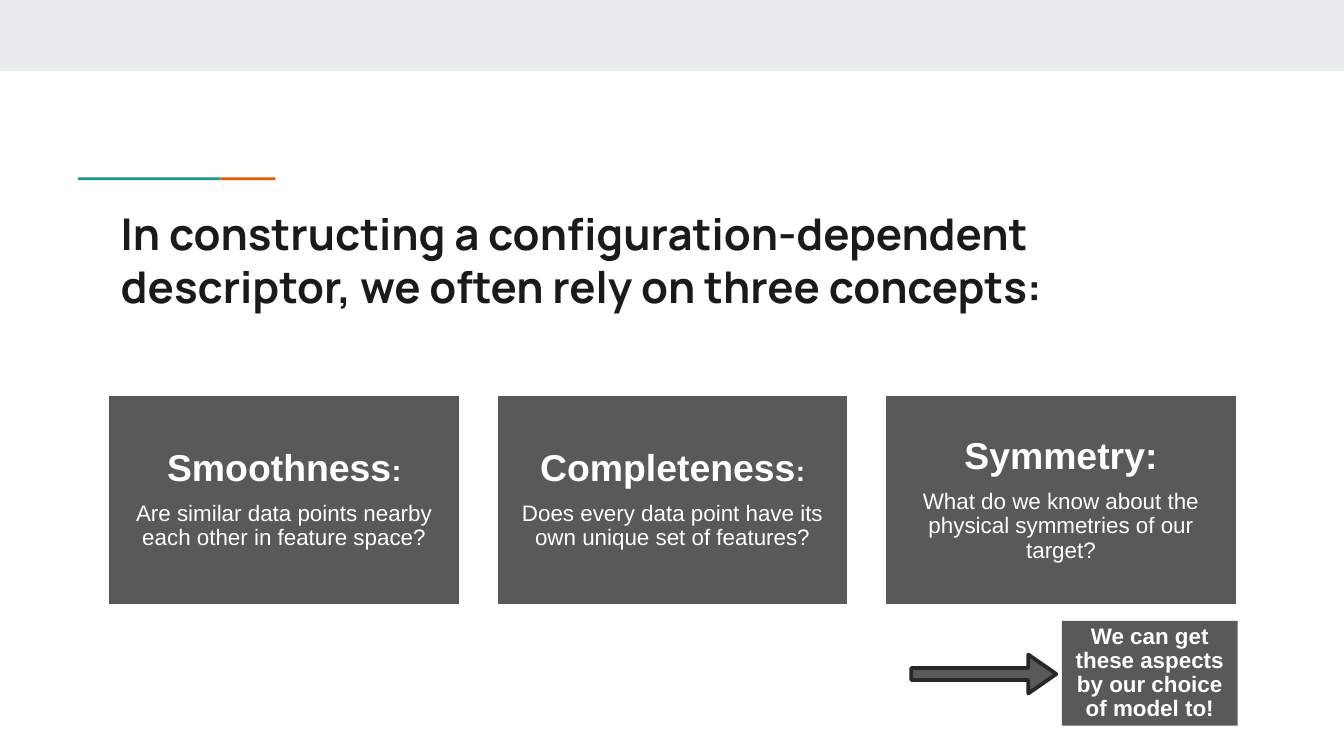
from pptx import Presentation
from pptx.dml.color import RGBColor
from pptx.enum.shapes import MSO_SHAPE
from pptx.enum.text import MSO_ANCHOR, PP_ALIGN
from pptx.util import Inches, Pt

TITLE = "In constructing a configuration-dependent descriptor, we often rely on three concepts:"
# Each card: heading runs and question runs, as (text, size, bold)
CARDS = [
    [[("Smoothness", 20, True), (":", 16, True)],
     [("Are similar data points nearby each other in feature space?", 12, False)]],
    [[("Completeness", 20, True), (":", 15, True)],
     [("Does every data point have its own unique set of features?", 12, False)]],
    [[("Symmetry:", 20, True)],
     [("What do we know about the physical symmetries of our target?", 12, False)]],
]
NOTE = [[("We can get these aspects by our choice of model to!", 12, True)]]

# Decoration: left, top, width, height, colour
BARS = [
    (0, 0, 10, 0.53, "E9EDEE"),
    (0.58, 1.32, 1.06, 0.02, "1A9988"),
    (1.64, 1.32, 0.41, 0.02, "EB5600"),
]
GREY, WHITE, INK, OUTLINE = "595959", "FFFFFF", "1A1A1A", "272727"
LEFT, CARD_TOP, CARD_W, CARD_H, GAP = 0.8, 2.93, 2.63, 1.58, 0.26


def rgb(value):
    return RGBColor.from_string(value)


def add_box(slide, kind, box, fill, line=None):
    s = slide.shapes.add_shape(kind, *map(Inches, box))
    s.shadow.inherit = False
    s.fill.solid()
    s.fill.fore_color.rgb = rgb(fill)
    if line:
        s.line.color.rgb = rgb(line)
        s.line.width = Pt(2)
    else:
        s.line.fill.background()
    return s


def set_margins(tf, inset):
    tf.margin_left = tf.margin_right = tf.margin_top = tf.margin_bottom = Inches(inset)
    tf.word_wrap = True


def add_run(p, text, size, bold, font, color):
    r = p.add_run()
    r.text = text
    r.font.size, r.font.bold, r.font.name = Pt(size), bold, font
    r.font.color.rgb = rgb(color)


def add_panel(slide, box, paragraphs, inset, line=None):
    """Grey rectangle with centred white text."""
    tf = add_box(slide, MSO_SHAPE.RECTANGLE, box, GREY, line).text_frame
    set_margins(tf, inset)
    tf.vertical_anchor = MSO_ANCHOR.MIDDLE
    for i, runs in enumerate(paragraphs):
        p = tf.add_paragraph() if i else tf.paragraphs[0]
        p.alignment = PP_ALIGN.CENTER
        p.line_spacing = 0.9
        p.space_after = Pt(0.35 * runs[0][1])
        for text, size, bold in runs:
            add_run(p, text, size, bold, "Arial", WHITE)


def main():
    prs = Presentation()
    prs.slide_width = Inches(10)
    prs.slide_height = prs.slide_width * 9 // 16
    slide = prs.slides.add_slide(prs.slide_layouts[6])

    for *box, color in BARS:
        add_box(slide, MSO_SHAPE.RECTANGLE, box, color)

    title = slide.shapes.add_textbox(Inches(LEFT), Inches(1.44), Inches(8.41), Inches(0.59))
    set_margins(title.text_frame, 0.1)
    add_run(title.text_frame.paragraphs[0], TITLE, 23.4, True, "Manrope", INK)

    for i, card in enumerate(CARDS):
        box = (LEFT + i * (CARD_W + GAP), CARD_TOP, CARD_W, CARD_H)
        add_panel(slide, box, card, 0.08, WHITE)

    arrow = add_box(slide, MSO_SHAPE.RIGHT_ARROW, (6.78, 4.87, 1.08, 0.29), GREY, OUTLINE)
    arrow.adjustments[0], arrow.adjustments[1] = 0.31, 0.72
    add_panel(slide, (7.9, 4.62, 1.31, 0.78), NOTE, 0.07)

    prs.save("out.pptx")


if __name__ == "__main__":
    main()
